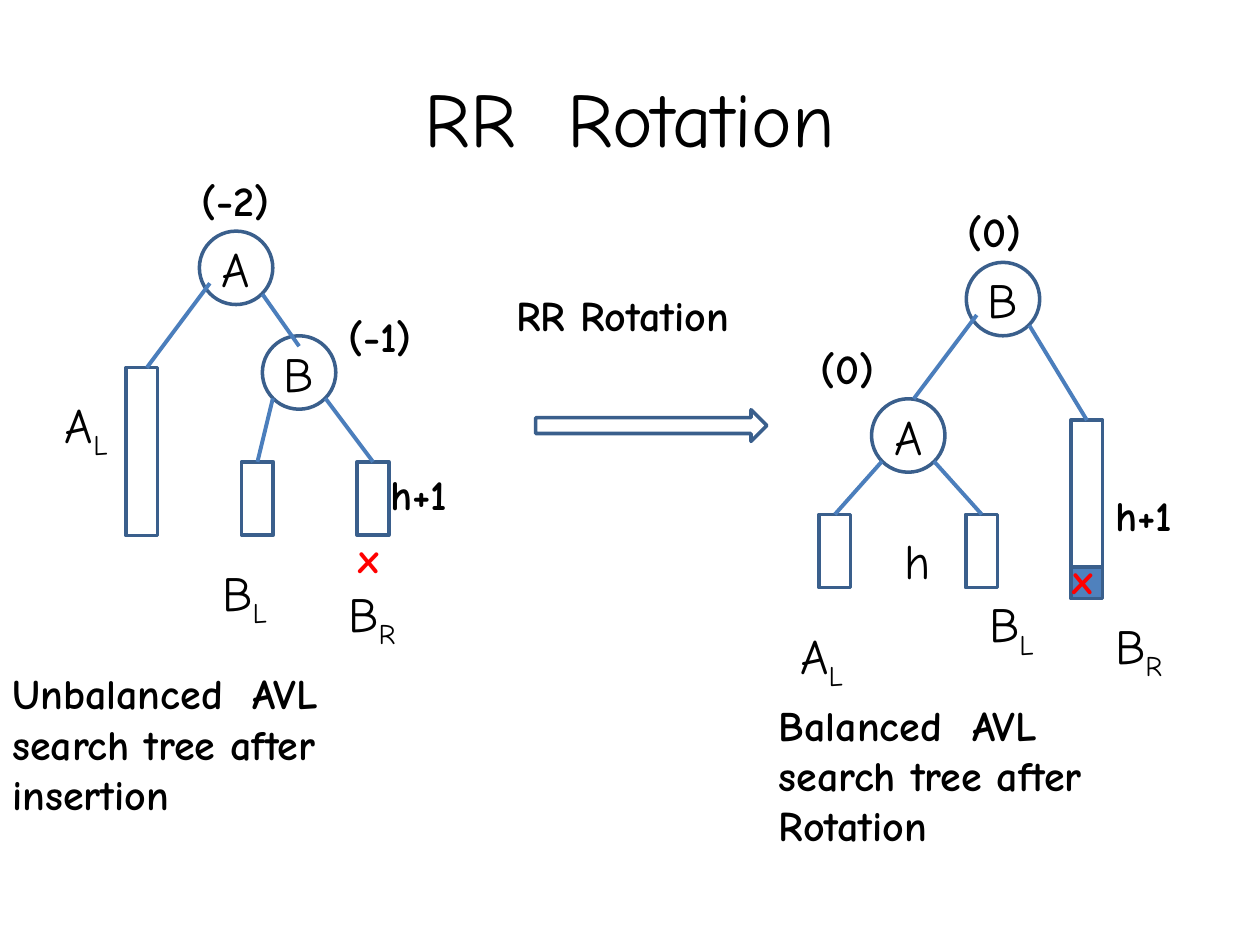
from pptx import Presentation
from pptx.dml.color import RGBColor
from pptx.enum.shapes import MSO_CONNECTOR, MSO_SHAPE
from pptx.enum.text import MSO_ANCHOR, MSO_AUTO_SIZE, PP_ALIGN
from pptx.oxml.ns import qn
from pptx.util import Cm, Pt
from lxml.etree import SubElement

FONT = "Comic Neue"
BLACK, RED = "000000", "FF0000"
OUTLINE, EDGE, FILL = "3A5F8C", "4B7EBC", "4F81BD"
NODE_SIZE, BAR_WIDTH, BAR_HEIGHT = 1.48, 0.64, 1.48


def rgb(color):
    """Turn a hex string into a colour."""
    return RGBColor.from_string(color)


def style_run(r, size, color=BLACK, bold=False):
    """Set the font of a run."""
    r.font.name = FONT
    r.font.size = Pt(size)
    r.font.bold = bold
    r.font.color.rgb = rgb(color)


def add_outline(slide, kind, x, y, w, h, fill=None):
    """Add an outlined preset shape, hollow unless a fill is given."""
    sp = slide.shapes.add_shape(kind, Cm(x), Cm(y), Cm(w), Cm(h))
    sp.shadow.inherit = False
    if fill:
        sp.fill.solid()
        sp.fill.fore_color.rgb = rgb(fill)
    else:
        sp.fill.background()
    sp.line.color.rgb = rgb(OUTLINE)
    sp.line.width = Pt(2)
    return sp


def add_node(slide, name, x, y):
    """Add a circular tree node with its name."""
    sp = add_outline(slide, MSO_SHAPE.OVAL, x, y, NODE_SIZE, NODE_SIZE)
    tf = sp.text_frame
    tf.margin_left = tf.margin_right = tf.margin_top = tf.margin_bottom = 0
    tf.word_wrap = False
    tf.vertical_anchor = MSO_ANCHOR.MIDDLE
    tf.text = name
    p = tf.paragraphs[0]
    p.alignment = PP_ALIGN.CENTER
    style_run(p.runs[0], 28)


def add_bar(slide, x, y, h=BAR_HEIGHT, fill=None):
    """Add a bar standing for a subtree."""
    return add_outline(slide, MSO_SHAPE.RECTANGLE, x, y, BAR_WIDTH, h, fill)


def add_edge(slide, x1, y1, x2=0, y2=0, bar=None):
    """Add a tree edge, joined to the top of a bar when one is given."""
    line = slide.shapes.add_connector(
        MSO_CONNECTOR.STRAIGHT, Cm(x1), Cm(y1), Cm(x2), Cm(y2))
    if bar is not None:
        line.end_connect(bar, 0)
    line.line.color.rgb = rgb(EDGE)
    line.line.width = Pt(2.25)
    SubElement(line._element.spPr, qn("a:effectLst"))


def add_text(slide, text, x, y, w, h, size=24, color=BLACK, bold=True):
    """Add a wrapping text box and return its shape."""
    sp = slide.shapes.add_textbox(Cm(x), Cm(y), Cm(w), Cm(h))
    tf = sp.text_frame
    tf.word_wrap = True
    tf.auto_size = MSO_AUTO_SIZE.SHAPE_TO_FIT_TEXT
    tf.text = text
    style_run(tf.paragraphs[0].runs[0], size, color, bold)
    return sp


def add_subtree_label(slide, name, side, x, y):
    """Add a subtree name with its side as a subscript."""
    sp = add_text(slide, name, x, y, 2.12, 1.45, 28, bold=False)
    r = sp.text_frame.paragraphs[0].add_run()
    r.text = side
    style_run(r, 28)
    r._r.get_or_add_rPr().set("baseline", "-25000")


def add_title(slide, text):
    """Add the centred slide title."""
    sp = add_text(slide, text, 1.27, 0.76, 22.86, 3.18, 44, bold=False)
    tf = sp.text_frame
    tf.auto_size = MSO_AUTO_SIZE.NONE
    tf.vertical_anchor = MSO_ANCHOR.MIDDLE
    tf.paragraphs[0].alignment = PP_ALIGN.CENTER


def add_unbalanced_tree(slide):
    """Draw the tree before the rotation."""
    add_node(slide, "A", 4.02, 4.66)
    add_node(slide, "B", 5.29, 6.77)
    add_bar(slide, 2.54, 7.41, 3.39)
    bl = add_bar(slide, 4.87, 9.31)
    br = add_bar(slide, 7.2, 9.31)
    add_edge(slide, 4.23, 5.71, 2.96, 7.41)
    add_edge(slide, 5.29, 5.93, 6.03, 6.98)
    add_edge(slide, 5.5, 8.03, bar=bl)
    add_edge(slide, 6.56, 8.03, bar=br)
    for name, side, x, y in [("A", "L", 1.06, 7.83), ("B", "L", 4.23, 11.22),
                             ("B", "R", 6.77, 11.64)]:
        add_subtree_label(slide, name, side, x, y)
    add_text(slide, "(-2)", 3.81, 3.39, 3.18, 1.28)
    add_text(slide, "(-1)", 6.77, 6.14, 2.33, 1.28)
    add_text(slide, "h+1", 7.62, 9.31, 2.33, 1.28)
    add_text(slide, "x", 6.98, 10.58, 1.27, 1.28, color=RED)
    add_text(slide, "Unbalanced  AVL search tree after insertion",
             0, 13.34, 8.04, 3.33)


def add_balanced_tree(slide):
    """Draw the tree after the rotation."""
    add_node(slide, "B", 19.48, 5.29)
    add_node(slide, "A", 17.57, 8.04)
    al = add_bar(slide, 16.51, 10.37)
    bl = add_bar(slide, 19.47, 10.37)
    br = add_bar(slide, 21.59, 8.47, 2.96)
    add_bar(slide, 21.59, 11.43, BAR_WIDTH, FILL)
    add_edge(slide, 19.69, 6.35, 18.42, 8.04)
    add_edge(slide, 20.75, 6.56, bar=br)
    add_edge(slide, 17.78, 9.3, bar=al)
    add_edge(slide, 18.83, 9.3, bar=bl)
    for name, side, x, y in [("A", "L", 15.88, 12.49), ("B", "L", 19.69, 11.85),
                             ("B", "R", 22.23, 12.28)]:
        add_subtree_label(slide, name, side, x, y)
    add_text(slide, "(0)", 19.26, 4.02, 3.18, 1.28)
    add_text(slide, "(0)", 16.3, 6.77, 2.33, 1.28)
    add_text(slide, "h+1", 22.23, 9.74, 2.33, 1.28)
    add_text(slide, "h", 17.99, 10.58, 0.85, 1.45, 28, bold=False)
    add_text(slide, "x", 21.38, 11.01, 1.27, 1.28, color=RED)
    add_text(slide, "Balanced  AVL search tree after Rotation",
             15.45, 13.97, 8.04, 3.33)


def main():
    """Build and save the slide."""
    prs = Presentation()
    prs.slide_width, prs.slide_height = Cm(25.4), Cm(19.05)
    slide = prs.slides.add_slide(prs.slide_layouts[6])
    add_title(slide, "RR  Rotation")
    add_outline(slide, MSO_SHAPE.RIGHT_ARROW, 10.8, 8.26, 4.66, 0.64)
    add_text(slide, "RR Rotation", 10.16, 5.72, 5.5, 1.28)
    add_balanced_tree(slide)
    add_unbalanced_tree(slide)
    prs.save("out.pptx")


if __name__ == "__main__":
    main()
